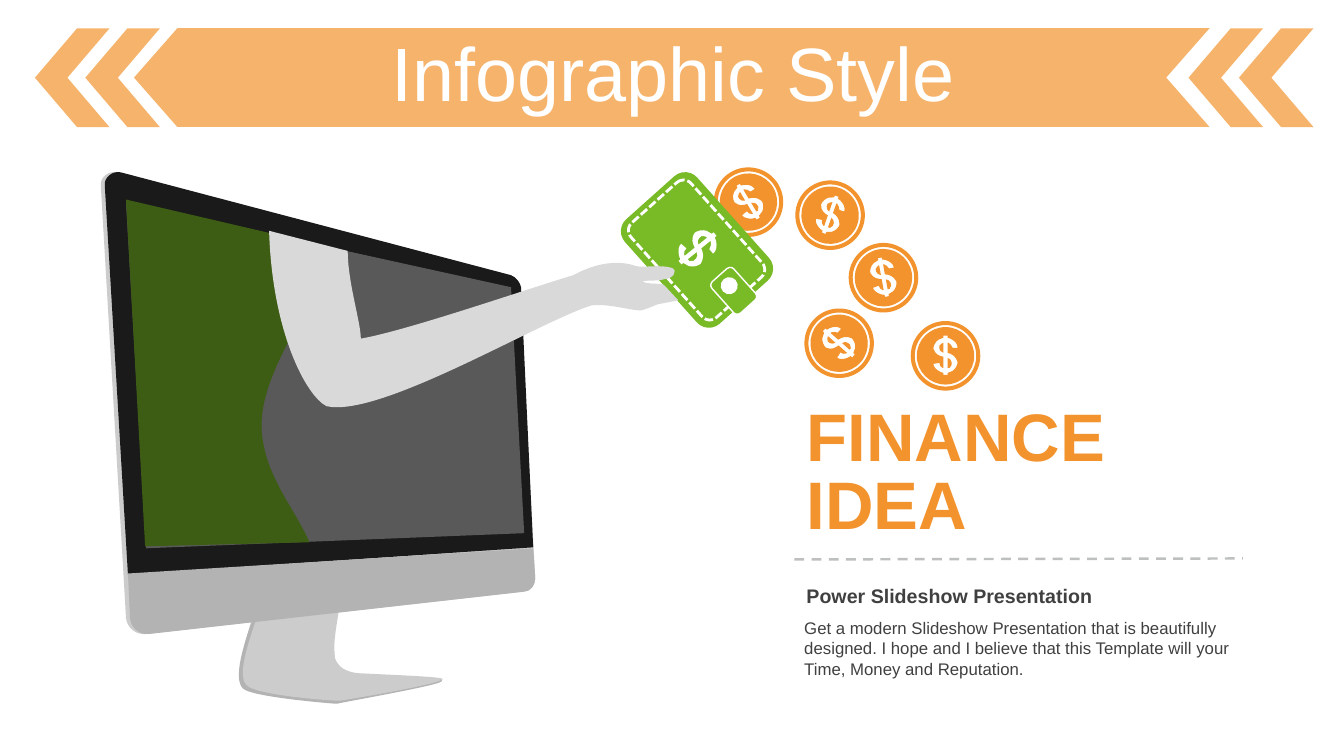
from dataclasses import dataclass
from itertools import chain

from lxml.etree import SubElement
from pptx import Presentation
from pptx.dml.color import RGBColor as RGB
from pptx.enum.dml import MSO_LINE as Dash
from pptx.enum.shapes import MSO_CONNECTOR as Conn, MSO_SHAPE as Geo
from pptx.enum.text import MSO_ANCHOR as Anchor, MSO_AUTO_SIZE as Fit, PP_ALIGN as Align
from pptx.oxml.ns import qn
from pptx.util import Pt

UNIT = 0.72  # points per outline unit


@dataclass(frozen=True)
class Theme:
    font: str = "Arial"
    orange: str = "F3932D"
    green: str = "79BA27"
    forest: str = "3D5D14"
    white: str = "FFFFFF"
    ink: str = "404040"
    rule: str = "BEBFBF"
    skin: str = "D9D9D9"
    pale: str = "E6E6E6"
    light: str = "CCCCCC"
    mid: str = "B3B3B3"
    haze: str = "999999"
    dark: str = "595959"
    black: str = "1A1A1A"
    title: int = 54
    head: int = 48
    lead: int = 14
    body: int = 12


def trace(text):
    """Turn M, L and C commands into contours of (command, points) steps."""
    loops, args = [], []
    for word in text.split():
        if word in "MLC":
            cmd = word
            continue
        args.append(float(word))
        if len(args) == (6 if cmd == "C" else 2):
            if cmd == "M":
                loops.append([])
            loops[-1].append((cmd, list(zip(args[::2], args[1::2]))))
            args = []
    return loops


def ring(r):
    """Give a circle of four curves around the origin."""
    k = 0.55 * r
    return trace(f"M {r} 0 C {r} {k} {k} {r} 0 {r} C {-k} {r} {-r} {k} {-r} 0 "
                 f"C {-r} {-k} {-k} {-r} 0 {-r} C {k} {-r} {r} {-k} {r} 0")


def move(loops, x, y, size=1):
    return [[(cmd, [(x + size * px, y + size * py) for px, py in pts]) for cmd, pts in loop]
            for loop in loops]


def bend(shape, loops):
    """Make curves of the straight pieces that stand for C steps."""
    track = shape._element.find(".//" + qn("a:path"))
    nodes = iter([node for node in track if node.tag != qn("a:close")])
    for cmd, pts in chain(*loops):
        first, *rest = [next(nodes) for _ in pts]
        if cmd == "C":
            first.tag = qn("a:cubicBezTo")
            for node in rest:
                first.append(node[0])
                track.remove(node)


class Board:
    def __init__(self, slide, theme):
        self.slide, self.theme = slide, theme
        self.into = slide.shapes

    def group(self):
        self.into = self.slide.shapes.add_group_shape().shapes

    def leave(self):
        self.into = self.slide.shapes

    def paint(self, shape, fill=None, line=None, alpha=None, turn=0):
        """Style a shape; line is (colour, width, dash), alpha is a percentage."""
        shape.shadow.inherit = False
        shape.rotation = turn
        if fill:
            shape.fill.solid()
            shape.fill.fore_color.rgb = RGB.from_string(fill)
        else:
            shape.fill.background()
        if alpha:
            tone = shape._element.spPr.find(qn("a:solidFill"))[0]
            SubElement(tone, qn("a:alpha"), val=str(alpha * 1000))
        if line:
            self.stroke(shape.line, *line)
        else:
            shape.line.fill.background()
        return shape

    def stroke(self, line, tone, width, dash=None):
        line.color.rgb = RGB.from_string(tone)
        for key, val in {"width": Pt(width), "dash_style": dash}.items():
            setattr(line, key, val)

    def shape(self, kind, x, y, w, h, adj=None, **look):
        item = self.into.add_shape(kind, Pt(x), Pt(y), Pt(w), Pt(h))
        if adj is not None:
            item.adjustments[0] = adj
        return self.paint(item, **look)

    def free(self, loops, **look):
        outs = [[(Pt(x * UNIT), Pt(y * UNIT)) for _, pts in loop for x, y in pts]
                for loop in loops]
        pen = self.into.build_freeform(*outs[0][0], scale=1.0)
        for i, pts in enumerate(outs):
            if i:
                pen.move_to(*pts[0])
            pen.add_line_segments(pts[1:], close=True)
        item = pen.convert_to_shape()
        bend(item, loops)
        return self.paint(item, **look)

    def line(self, x1, y1, x2, y2, *look):
        item = self.into.add_connector(Conn.STRAIGHT, Pt(x1), Pt(y1), Pt(x2), Pt(y2))
        SubElement(item._element.spPr, qn("a:effectLst"))
        self.stroke(item.line, *look)

    def text(self, box, lines, size, tone, bold=False, pad=7.2, frame=None, para=None):
        item = self.into.add_textbox(*map(Pt, box)).text_frame
        base = {"word_wrap": True, "auto_size": Fit.SHAPE_TO_FIT_TEXT,
                "margin_left": Pt(pad), "margin_right": Pt(pad)}
        for key, val in {**base, **(frame or {})}.items():
            setattr(item, key, val)
        for i, words in enumerate(lines):
            par = item.add_paragraph() if i else item.paragraphs[0]
            for key, val in (para or {}).items():
                setattr(par, key, val)
            run = par.add_run()
            run.text = words
            for key, val in {"name": self.theme.font, "size": Pt(size), "bold": bold}.items():
                setattr(run.font, key, val)
            run.font.color.rgb = RGB.from_string(tone)


DOLLAR = trace(
    "M 2 2 C 4 3 6 4 6 6 C 7 8 6 10 4 12 L 2 12 "
    "M -2 -13 L -2 -3 C -4 -4 -6 -5 -6 -7 C -7 -9 -6 -11 -4 -12 "
    "M -2 -20 L -2 -18 L -7 -16 C -10 -14 -12 -10 -12 -7 C -10 -1 -6 0 -2 1 "
    "L -2 12 L -3 12 C -5 11 -6 9 -6 7 L -12 8 C -12 11 -9 14 -5 16 "
    "L -2 17 L -2 19 L 2 19 L 2 17 L 7 15 C 10 13 12 9 12 6 "
    "C 10 0 6 -2 2 -3 L 2 -13 L 3 -13 C 5 -12 6 -10 7 -8 L 12 -8 "
    "C 12 -12 9 -15 5 -17 L 2 -18 L 2 -20")
COIN = DOLLAR + ring(28.5) + ring(30.5) + ring(34.5)
COINS = [(742.5, 200.5, 329.3), (823.5, 213.5, 19.2), (938, 353, 0),
         (832.5, 340.5, 311.4), (876.5, 275.5, 349.6)]
BANNER = "M 176 28 L 1200 28 L 1157 77 L 1200 126 L 176 126 L 133 77"
ARM = ("M 267 229 L 345 249 C 345 280 358 320 358 336 C 404 328 522 287 569 273 "
       "C 598 257 620 260 631 264 C 638 266 656 262 667 266 C 673 269 667 277 659 277 "
       "C 653 279 644 278 637 279 C 641 282 649 281 657 282 L 659 283 L 673 298 L 652 302 "
       "C 648 304 640 307 636 308 C 625 308 604 301 587 303 C 535 319 377 415 324 403 "
       "C 304 393 270 330 267 229")


def screen(t):
    """List the monitor's outlines from back to front: outline, fill, opacity."""
    return [
        ("M 333 607 C 330 627 328 638 329 650 C 329 653 330 655 332 659 C 337 668 349 670 356 670 "
         "C 379 671 426 673 434 674 L 439 674 L 438 676 "
         "C 435 680 349 695 335 698 L 331 698 C 318 697 249 691 241 683 "
         "C 231 673 242 640 249 618 C 246 616 288 611 333 607", t.mid, None),
        ("M 336 607 C 333 626 331 637 332 648 C 332 651 332 654 335 658 C 340 666 352 668 359 668 "
         "C 376 669 431 671 438 673 C 451 676 352 693 338 695 L 334 695 "
         "C 322 695 253 689 245 680 C 235 671 246 639 253 618 C 250 615 292 610 336 607",
         t.light, None),
        ("M 145 629 L 519 587 C 526 586 531 580 531 574 L 516 296 C 516 279 512 275 506 273 "
         "L 116 171 C 108 169 99 176 100 184 L 125 613 C 126 623 135 630 145 629", t.light, None),
        ("M 127 570 L 529 543 L 517 285 C 516 280 512 275 507 273 L 120 171 "
         "C 112 169 103 176 104 184", t.black, None),
        ("M 149 540 L 518 526 L 506 286 L 128 201", t.pale, None),
        ("M 529 544 L 531 574 C 531 581 526 587 520 587 L 148 629 C 138 630 130 623 129 613 "
         "L 127 569", t.mid, None),
        ("M 262 231 L 127 200 L 148 541 L 405 530", t.haze, 10),
        ("M 507 285 L 125 201 L 145 544 L 520 529", t.dark, None),
        ("M 288 236 L 298 317 C 267 372 257 403 260 432 C 265 475 292 504 307 538 "
         "L 144 542 L 125 198", t.forest, None),
    ]


def main():
    deck = Presentation()
    deck.slide_width, deck.slide_height = Pt(960), Pt(540)
    t = Theme()
    b = Board(deck.slides.add_slide(deck.slide_layouts[6]), t)

    b.group()
    for x in (25, 61, 849, 885):
        arrow = b.shape(Geo.CHEVRON, x, 20.2, 53.3, 70.6, 0.565, fill=t.orange, alpha=70)
        arrow._element.spPr.xfrm.set("flipH", "1")
    b.free(trace(BANNER), fill=t.orange, alpha=70)
    b.leave()
    for x, y, turn in COINS:
        b.free(move(COIN, x, y), fill=t.orange, turn=turn)
    b.text((25.2, 26.6, 911.5, 56.9), ["Infographic Style"], t.title, t.white,
           frame={"vertical_anchor": Anchor.MIDDLE, "auto_size": Fit.NONE},
           para={"alignment": Align.CENTER, "line_spacing": 0.9})

    b.group()
    for outline, fill, alpha in screen(t):
        b.free(trace(outline), fill=fill, alpha=alpha)
    b.leave()

    b.text((567.4, 437.8, 324, 51.1),
           ["Get a modern Slideshow Presentation that is beautifully designed. I hope and "
            "I believe that this Template will your Time, Money and Reputation."], t.body, t.ink)
    b.text((567.4, 285.8, 324, 106.6), ["FINANCE", "IDEA"], t.head, t.orange, True, 8.64,
           {"vertical_anchor": Anchor.MIDDLE}, {"line_spacing": Pt(49)})
    b.line(567.4, 399.6, 887.8, 398.9, t.rule, 1.75, Dash.DASH)
    b.text((567.4, 413.3, 324, 24.5), ["Power Slideshow Presentation"], t.lead, t.ink, True, 8.64)

    b.group()
    tilt = 48.2
    b.shape(Geo.ROUNDED_RECTANGLE, 447.8, 144, 100.1, 69.1, fill=t.green, turn=tilt)
    b.shape(Geo.ROUNDED_RECTANGLE, 452.2, 149.8, 90.7, 57.6, 0.126,
            line=(t.white, 2, Dash.SQUARE_DOT), turn=tilt)
    b.shape(Geo.ROUNDED_RECTANGLE, 509, 197.3, 30.2, 20.9, fill=t.green,
            line=(t.white, 1), turn=tilt)
    b.shape(Geo.OVAL, 514.8, 198, 12.2, 12.2, fill=t.white, turn=tilt)
    b.free(move(DOLLAR, 692, 247, 1.15), fill=t.white, turn=50.9)
    b.leave()
    b.free(trace(ARM), fill=t.skin)
    deck.save("out.pptx")


if __name__ == "__main__":
    main()
